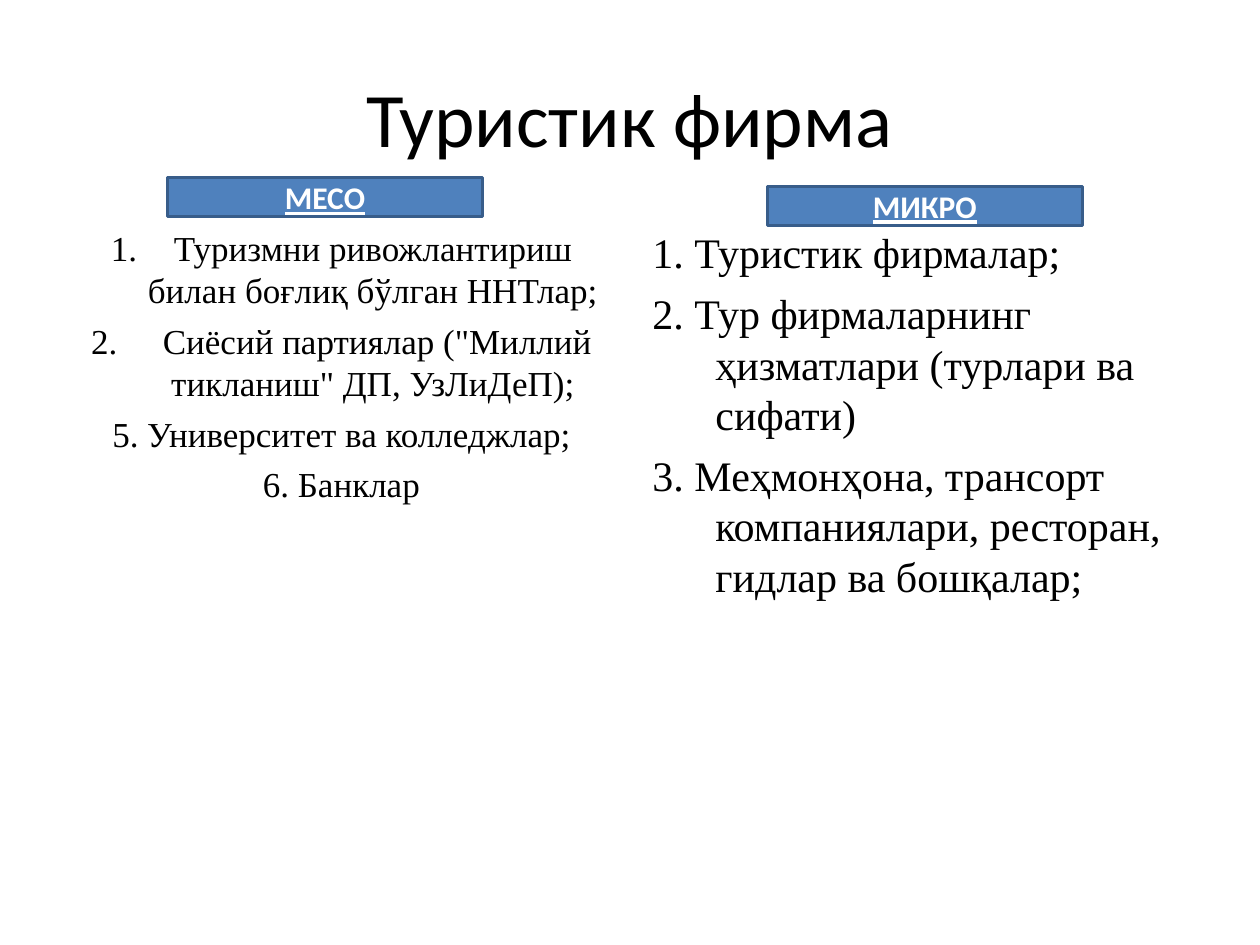
from lxml import etree
from pptx import Presentation
from pptx.dml.color import RGBColor
from pptx.enum import shapes, text
from pptx.oxml.ns import qn
from pptx.util import Inches, Pt

BLACK = RGBColor(0x00, 0x00, 0x00)
WHITE = RGBColor(0xFF, 0xFF, 0xFF)
BLUE = RGBColor(0x4F, 0x81, 0xBD)
DARK_BLUE = RGBColor(0x38, 0x5D, 0x8A)

CENTER, LEFT = text.PP_ALIGN.CENTER, text.PP_ALIGN.LEFT
HANGING = Inches(0.5)


def set_font(paragraph, name, size, color):
    paragraph.font.name = name
    paragraph.font.size = Pt(size)
    paragraph.font.color.rgb = color


def add_title(slide, box, wording):
    frame = slide.shapes.add_textbox(*box).text_frame
    frame.word_wrap = True
    frame.vertical_anchor = text.MSO_ANCHOR.MIDDLE
    title = frame.paragraphs[0]
    title.text = wording
    title.alignment = CENTER
    set_font(title, "Calibri", 44, BLACK)


def add_heading(slide, box, wording):
    bar = slide.shapes.add_shape(shapes.MSO_SHAPE.RECTANGLE, *box)
    bar.shadow.inherit = False
    bar.fill.solid()
    bar.fill.fore_color.rgb = BLUE
    bar.line.color.rgb = DARK_BLUE
    bar.line.width = Pt(2)
    bar.text_frame.vertical_anchor = text.MSO_ANCHOR.MIDDLE
    heading = bar.text_frame.paragraphs[0]
    heading.text = wording
    heading.alignment = CENTER
    set_font(heading, "Calibri", 18, WHITE)
    heading.font.bold = True
    heading.font.underline = True


def add_list(slide, box, items, size, gap, alignment, numbered=0):
    """Hanging list; the first `numbered` items get automatic numbers."""
    frame = slide.shapes.add_textbox(*box).text_frame
    frame.word_wrap = True
    for index, wording in enumerate(items):
        item = frame.paragraphs[0] if index == 0 else frame.add_paragraph()
        item.text = wording
        item.alignment = alignment
        properties = item._p.get_or_add_pPr()
        properties.set("marL", str(HANGING))
        properties.set("indent", str(-HANGING))
        if index < numbered:
            etree.SubElement(properties, qn("a:buAutoNum"), type="arabicPeriod")
        if index > 0:
            item.space_before = Pt(gap)
        set_font(item, "Times New Roman", size, BLACK)


def main():
    deck = Presentation()
    deck.slide_width, deck.slide_height = Inches(10), Inches(7.5)
    slide = deck.slides.add_slide(deck.slide_layouts[6])

    margin, list_top = Inches(0.5), Inches(1.75)
    list_width, list_height = Inches(4.42), Inches(4.95)
    right_edge = deck.slide_width - margin
    heading_size = Inches(2.5), Inches(0.31)

    add_title(slide, (margin, Inches(0.3), right_edge - margin, Inches(1.25)),
              "Туристик фирма")

    # Meso level
    add_list(slide, (margin, list_top, list_width, list_height), [
        "Туризмни ривожлантириш билан боғлиқ бўлган ННТлар;",
        " Сиёсий партиялар (\"Миллий тикланиш\" ДП, УзЛиДеП);",
        "5. Университет ва колледжлар;",
        "6. Банклар",
    ], 20, 5, CENTER, numbered=2)
    add_heading(slide, (Inches(1.33), Inches(1.41), *heading_size), "МЕСО")

    # Micro level
    add_list(slide, (right_edge - list_width, list_top, list_width, list_height), [
        "1. Туристик фирмалар;",
        "2. Тур фирмаларнинг ҳизматлари (турлари ва сифати)",
        "3. Меҳмонҳона, трансорт компаниялари, ресторан, гидлар ва бошқалар;",
    ], 24, 6, LEFT)
    add_heading(slide, (Inches(6.09), Inches(1.48), *heading_size), "МИКРО")

    deck.save("out.pptx")


if __name__ == "__main__":
    main()
